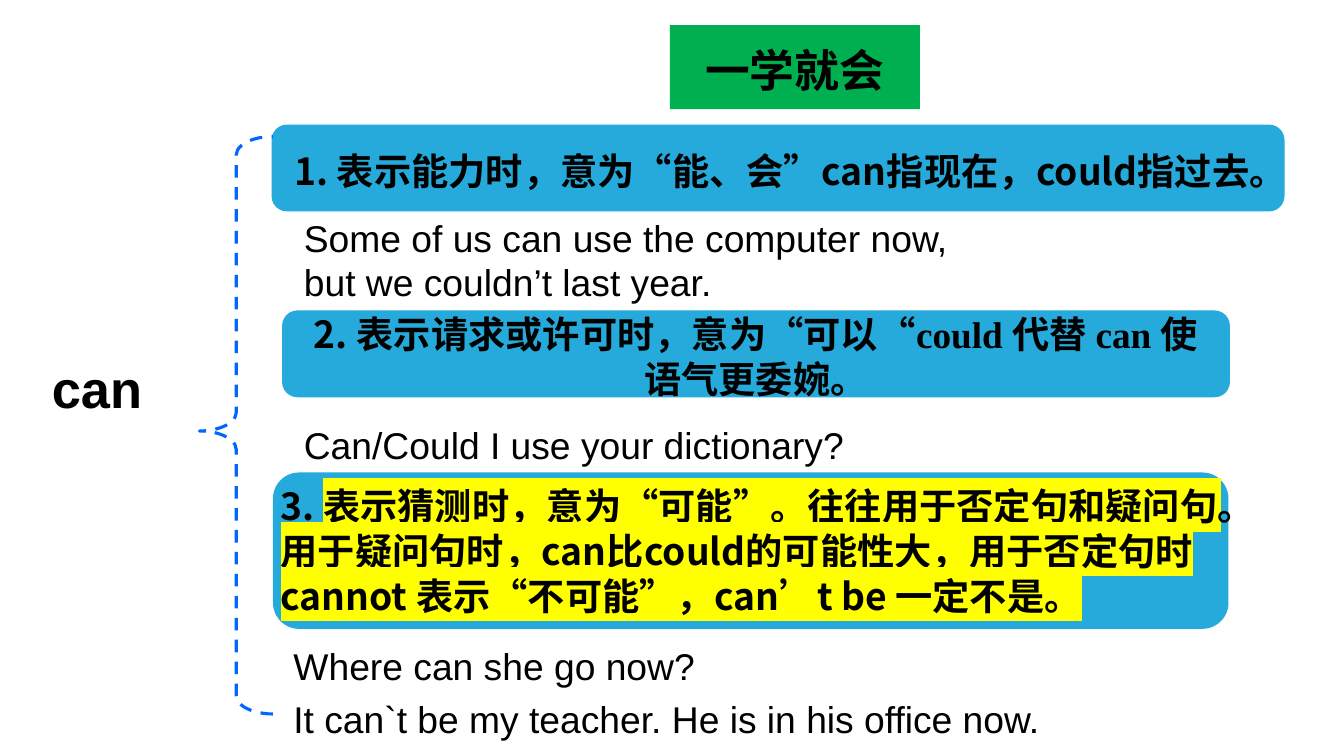
from lxml import etree
from pptx import Presentation
from pptx.dml.color import RGBColor
from pptx.enum.dml import MSO_LINE
from pptx.enum.shapes import MSO_SHAPE
from pptx.enum.text import MSO_ANCHOR, MSO_AUTO_SIZE, PP_ALIGN
from pptx.oxml.ns import qn
from pptx.util import Inches, Pt

ROUND = MSO_SHAPE.ROUNDED_RECTANGLE
BRACE = MSO_SHAPE.LEFT_BRACE
CALL = MSO_SHAPE.RECTANGULAR_CALLOUT
DASH = MSO_LINE.DASH
MID = MSO_ANCHOR.MIDDLE
GROW = MSO_AUTO_SIZE.SHAPE_TO_FIT_TEXT
FIXED = MSO_AUTO_SIZE.NONE
LEFT, CENTER = PP_ALIGN.LEFT, PP_ALIGN.CENTER

BLACK = RGBColor(0, 0, 0)
SKY = RGBColor(0x26, 0xAA, 0xDB)
BLUE = RGBColor(0x00, 0x66, 0xFF)
GREEN = RGBColor(0x00, 0xB0, 0x50)
YELLOW = RGBColor(0xFF, 0xFF, 0x00)

SANS, HAN, SERIF = "Arial", "Noto Sans CJK SC", "Times New Roman"
COLS, ROWS = 128, 72
BODY = 26.6


def write(par, text, font=SANS, size=BODY, bold=False, mark=None, shade=False):
    run = par.add_run()
    run.text = text
    run.font.size = Pt(size)
    run.font.bold = bold
    run.font.name = font
    run.font.color.rgb = BLACK
    props = run.font._element
    east = etree.Element(qn("a:ea"), typeface=HAN)
    props.find(qn("a:latin")).addnext(east)
    spot = props.find(qn("a:solidFill"))
    if shade:
        fx = etree.Element(qn("a:effectLst"))
        drop = etree.SubElement(fx, qn("a:outerShdw"), blurRad="38100",
                                dist="38100", dir="2700000", algn="tl")
        tone = etree.SubElement(drop, qn("a:srgbClr"), val="000000")
        etree.SubElement(tone, qn("a:alpha"), val="43000")
        spot.addnext(fx)
    if mark:
        light = etree.Element(qn("a:highlight"))
        etree.SubElement(light, qn("a:srgbClr"), val=str(mark))
        spot.addnext(light)


class Board:
    def __init__(self):
        self.deck = Presentation()
        self.deck.slide_width = Inches(13.33)
        self.deck.slide_height = Inches(7.5)
        self.slide = self.deck.slides.add_slide(self.deck.slide_layouts[5])

    def area(self, col, row, wide, high):
        across = self.deck.slide_width / COLS
        down = self.deck.slide_height / ROWS
        return (int(col * across), int(row * down),
                int(wide * across), int(high * down))

    def frame(self, shape, pads):
        body = shape.text_frame
        body.word_wrap = True
        body.auto_size = FIXED
        body.vertical_anchor = MID
        (body.margin_left, body.margin_top,
         body.margin_right, body.margin_bottom) = map(Inches, pads)
        return body.paragraphs[0]

    def title(self, text, *place):
        head = self.slide.shapes.title
        head.left, head.top, head.width, head.height = self.area(*place)
        form = etree.Element(qn("a:prstGeom"), prst="roundRect")
        etree.SubElement(form, qn("a:avLst"))
        head._element.spPr.find(qn("a:xfrm")).addnext(form)
        head.fill.solid()
        head.fill.fore_color.rgb = GREEN
        par = self.frame(head, (0.1, 0.26, 0.1, 0.21))
        par.alignment = CENTER
        write(par, text, font=SERIF, size=32, bold=True)

    def shape(self, kind, *place, fill=None, line=None, width=2, bend=()):
        item = self.slide.shapes.add_shape(kind, *self.area(*place))
        item.shadow.inherit = False
        for spot, value in enumerate(bend):
            item.adjustments[spot] = value
        if fill is None:
            item.fill.background()
        else:
            item.fill.solid()
            item.fill.fore_color.rgb = fill
        if line is None:
            item.line.fill.background()
        else:
            item.line.color.rgb = line
            item.line.width = Pt(width)
        return item

    def word(self, text, *place):
        item = self.shape(CALL, *place, bend=(-0.23, 0.5))
        par = self.frame(item, (0.1, 0.05, 0.1, 0.05))
        par.alignment = LEFT
        write(par, text, size=37.4, bold=True, shade=True)

    def brace(self, *place):
        item = self.shape(BRACE, *place, line=BLUE, width=2.25, bend=(0.25, 0.51))
        item.line.dash_style = DASH

    def rule(self, runs, *place, pads, align=LEFT, line=SKY):
        item = self.shape(ROUND, *place, fill=SKY, line=line)
        par = self.frame(item, pads)
        par.alignment = align
        for text, style in runs:
            write(par, text, bold=True, **style)

    def lines(self, texts, *place, space=None, hang=0):
        box = self.slide.shapes.add_textbox(*self.area(*place))
        body = box.text_frame
        body.word_wrap = True
        body.auto_size = GROW
        for spot, text in enumerate(texts):
            par = body.add_paragraph() if spot else body.paragraphs[0]
            par.line_spacing = space
            if hang:
                props = par._p.get_or_add_pPr()
                props.set("marL", str(Inches(hang)))
                props.set("indent", str(-Inches(hang)))
            write(par, text)


def main():
    board = Board()
    han = {"font": HAN}
    board.title("一学就会", 63.8, 2.4, 23.8, 8)
    board.word("can", 4, 30.9, 12, 12)
    board.rule([("1. 表示能力时，意为“能、会”can指现在，could指过去。", han)],
               26, 12, 96.2, 8, pads=(0.17, 0.26, 0.1, 0.21))
    board.brace(19, 13, 7, 55)
    board.rule([("2. 表示请求或许可时，意为“可以“", han),
                ("could 代替 can 使语气更委婉", {"font": SERIF}),
                ("。", han)],
               27, 29.7, 90, 8, pads=(0.1, 0.26, 0.1, 0.21), align=CENTER)
    board.rule([("3. ", han),
                ("表示猜测时，意为“可能”。往往用于否定句和疑问句。"
                 "用于疑问句时，can比could的可能性大，用于否定句时cannot "
                 "表示“不可能”，can’t be 一定不是。",
                 {"font": HAN, "mark": YELLOW})],
               26, 45, 91, 14.9, pads=(0, 0.21, 0, 0.21), line=None)
    board.lines(["Some of us can use the computer now,",
                 "but we couldn’t last year."], 28, 20, 101, 9.6, hang=0.38)
    board.lines(["Can/Could I use your dictionary?"],
                28, 37.6, 66, 7.4, space=1.5)
    board.lines(["Where can she go now?",
                 "It can`t be my teacher. He is in his office now."],
                27, 59.9, 85.2, 11.3, space=1.2)
    board.deck.save("out.pptx")


if __name__ == "__main__":
    main()
